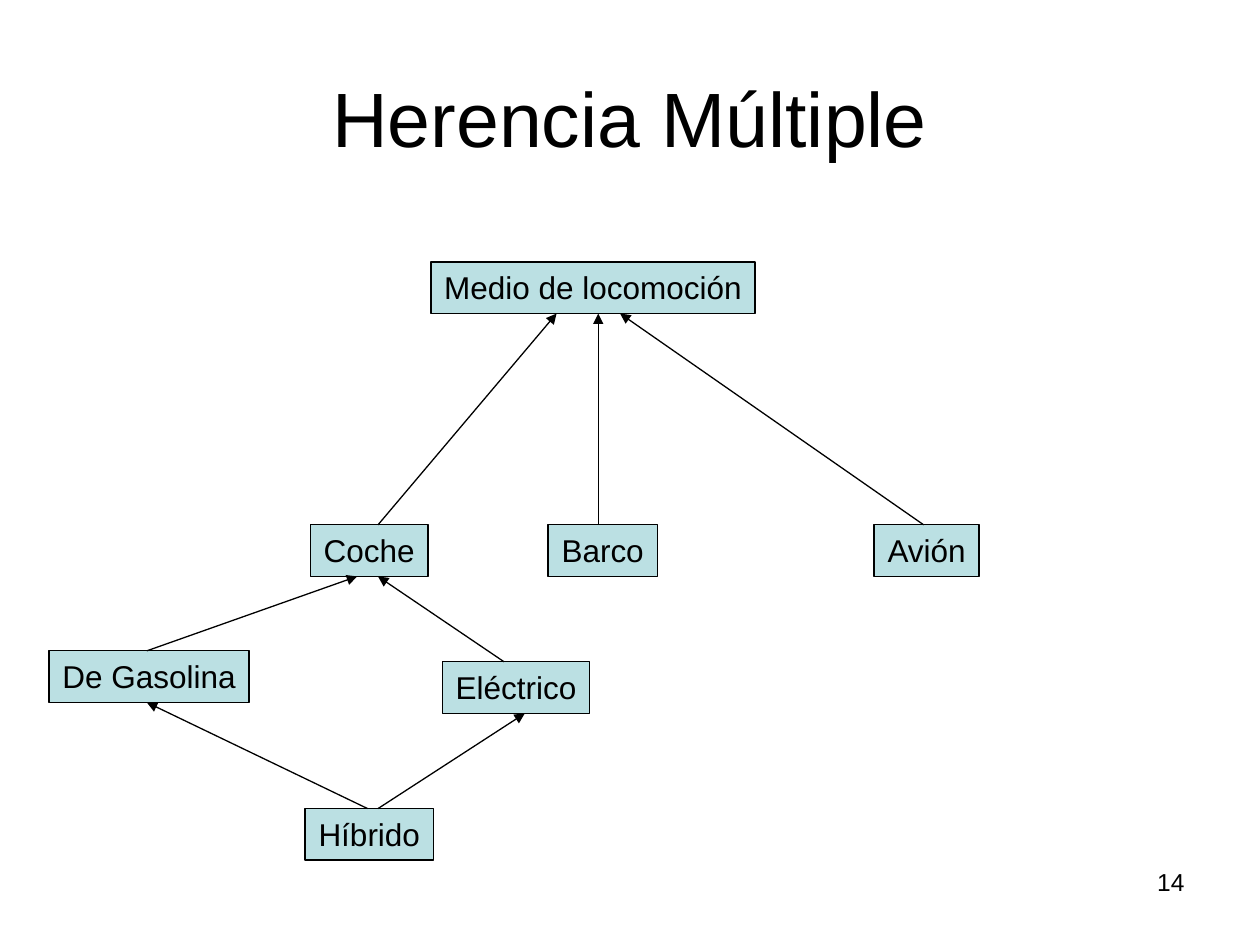
"""Build the multiple inheritance slide: a class tree joined by arrows."""
from dataclasses import dataclass

from lxml.etree import SubElement
from pptx import Presentation
from pptx.dml.color import RGBColor
from pptx.enum.shapes import MSO_CONNECTOR, MSO_SHAPE
from pptx.enum.text import MSO_ANCHOR, MSO_AUTO_SIZE, PP_ALIGN
from pptx.oxml.ns import qn
from pptx.util import Cm, Pt

TITLE = "Herencia Múltiple"
PAGE_NUMBER = "14"
BOX_HEIGHT = 1.04

# name: (left, top, width) in centimetres
CLASSES = {
    "Medio de locomoción": (8.69, 5.28, 6.53),
    "Coche": (6.26, 10.58, 2.37),
    "Barco": (11.05, 10.58, 2.2),
    "Avión": (17.62, 10.58, 2.12),
    "De Gasolina": (0.99, 13.12, 4.03),
    "Eléctrico": (8.92, 13.34, 2.97),
    "Híbrido": (6.15, 16.3, 2.59),
}

# child, x where the arrow leaves it, parent, x where the arrow arrives
INHERITANCE = [
    ("Coche", 7.62, "Medio de locomoción", 11.22),
    ("Barco", 12.06, "Medio de locomoción", 12.06),
    ("Avión", 18.62, "Medio de locomoción", 12.5),
    ("De Gasolina", 2.96, "Coche", 7.2),
    ("Eléctrico", 10.16, "Coche", 7.62),
    ("Híbrido", 7.41, "De Gasolina", 2.96),
    ("Híbrido", 7.62, "Eléctrico", 10.58),
]


@dataclass(frozen=True)
class Theme:
    font: str = "Arial"
    ink: RGBColor = RGBColor(0, 0, 0)
    box_fill: RGBColor = RGBColor(0xBB, 0xE0, 0xE3)
    title_size: int = 44
    label_size: int = 18
    number_size: int = 14
    line_width: float = 0.75


THEME = Theme()


def write_text(shape, text, size, align=PP_ALIGN.CENTER, anchor=MSO_ANCHOR.TOP,
               wrap=True, fit=MSO_AUTO_SIZE.NONE):
    frame = shape.text_frame
    frame.word_wrap = wrap
    frame.auto_size = fit
    frame.vertical_anchor = anchor
    para = frame.paragraphs[0]
    para.alignment = align
    span = para.add_run()
    span.text = text
    span.font.name = THEME.font
    span.font.size = Pt(size)
    span.font.color.rgb = THEME.ink


def set_line(shape):
    shape.line.color.rgb = THEME.ink
    shape.line.width = Pt(THEME.line_width)


def add_class(page, name, left, top, width):
    box = page.shapes.add_shape(MSO_SHAPE.RECTANGLE, Cm(left), Cm(top),
                                Cm(width), Cm(BOX_HEIGHT))
    box.shadow.inherit = False
    box.fill.solid()
    box.fill.fore_color.rgb = THEME.box_fill
    set_line(box)
    write_text(box, name, THEME.label_size, wrap=False,
               fit=MSO_AUTO_SIZE.SHAPE_TO_FIT_TEXT)


def add_arrow(page, child, start_x, parent, end_x):
    start_y = CLASSES[child][1]
    end_y = CLASSES[parent][1] + BOX_HEIGHT
    arrow = page.shapes.add_connector(MSO_CONNECTOR.STRAIGHT, Cm(start_x),
                                      Cm(start_y), Cm(end_x), Cm(end_y))
    set_line(arrow)
    SubElement(arrow.line._get_or_add_ln(), qn("a:tailEnd"), type="triangle")
    SubElement(arrow._element.spPr, qn("a:effectLst"))


def build():
    deck = Presentation()
    deck.slide_width, deck.slide_height = Cm(25.4), Cm(19.05)
    page = deck.slides.add_slide(deck.slide_layouts[5])

    title = page.shapes.title
    title.left, title.top = Cm(1.27), Cm(0.76)
    title.width, title.height = Cm(22.86), Cm(3.18)
    write_text(title, TITLE, THEME.title_size, anchor=MSO_ANCHOR.MIDDLE)

    number = page.shapes.add_textbox(Cm(18.2), Cm(17.35), Cm(5.93), Cm(1.32))
    write_text(number, PAGE_NUMBER, THEME.number_size, align=PP_ALIGN.RIGHT)

    for name, place in CLASSES.items():
        add_class(page, name, *place)
    for link in INHERITANCE:
        add_arrow(page, *link)
    deck.save("out.pptx")


build()
